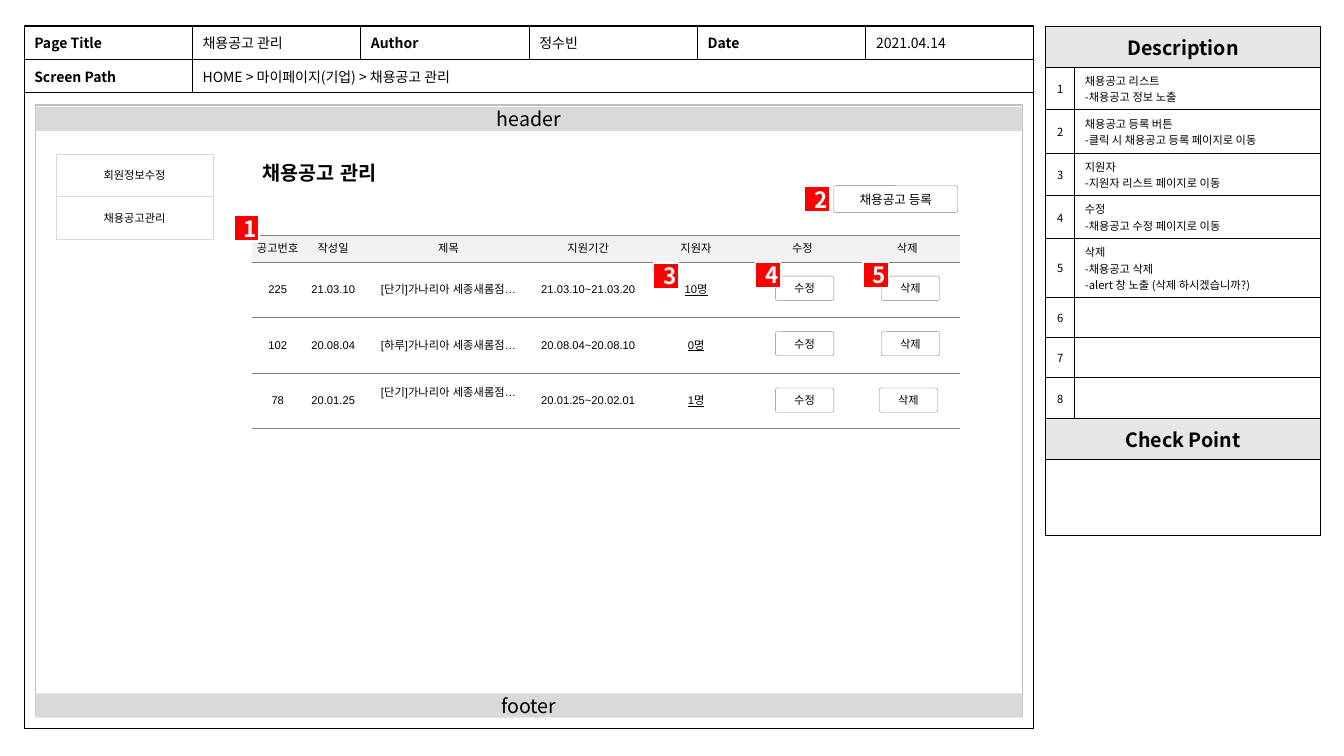
from lxml.etree import SubElement
from pptx import Presentation
from pptx.dml.color import RGBColor
from pptx.enum.shapes import MSO_SHAPE as SHAPE
from pptx.enum.text import MSO_ANCHOR as ANCHOR, MSO_AUTO_SIZE as AUTO, PP_ALIGN as ALIGN
from pptx.oxml import parse_xml
from pptx.oxml.ns import nsdecls, qn
from pptx.util import Pt

PX = 9144
THEME = {
    "noto": "Noto Sans CJK KR", "arial": "Arial",
    "black": "000000", "white": "FFFFFF", "red": "FF0000", "gray": "808080",
    "page_line": "BFBFBF", "bar": "D9D9D9", "heading": "E7E6E6", "columns": "F2F2F2",
    "small": 8, "button": 9, "meta": 10, "title": 14, "badge": 16,
}


def write(tf, text, size, font="noto", color="black", bold=False, underline=False, align=ALIGN.CENTER):
    tf.text = text
    for p in tf.paragraphs:
        p.alignment = align
        f = p.font
        f.name, f.size, f.bold, f.underline = THEME[font], Pt(THEME[size]), bold, underline
        f.color.rgb = RGBColor.from_string(THEME[color])
        ea = SubElement(p._p.pPr.find(qn("a:defRPr")), qn("a:ea"))
        ea.set("typeface", THEME[font])


def box(shapes, x, y, w, h, fill=None, line=None, weight=1, kind=SHAPE.RECTANGLE):
    sp = shapes.add_shape(kind, x * PX, y * PX, w * PX, h * PX)
    sp.shadow.inherit = False
    if kind == SHAPE.ROUNDED_RECTANGLE:
        sp.adjustments[0] = 0.09
    if fill:
        sp.fill.solid()
        sp.fill.fore_color.rgb = RGBColor.from_string(THEME[fill])
    else:
        sp.fill.background()
    if line:
        sp.line.color.rgb = RGBColor.from_string(THEME[line])
        sp.line.width = Pt(weight)
    else:
        sp.line.fill.background()
    sp.text_frame.vertical_anchor = ANCHOR.MIDDLE
    return sp


prs = Presentation()
prs.slide_width, prs.slide_height = 1333 * PX, 750 * PX
slide = prs.slides.add_slide(prs.slide_layouts[5])
shapes = slide.shapes

box(shapes, 24, 26, 1001, 697, line="black")
box(shapes, 35, 104, 979, 606, "white", "page_line")
for name, y in (("header", 106), ("footer", 688)):
    write(box(shapes, 35, y, 979, 24, "bar").text_frame, name, "title")

title = shapes.title
title.left, title.top, title.width, title.height = 250 * PX, 155 * PX, 163 * PX, 37 * PX
tf = title.text_frame
tf.word_wrap, tf.auto_size, tf.vertical_anchor = False, AUTO.SHAPE_TO_FIT_TEXT, ANCHOR.TOP
write(tf, "채용공고 관리", "title", "arial", bold=True, align=ALIGN.LEFT)
shapes.element.append(title.element)

notes = [
    "채용공고 리스트\n-채용공고 정보 노출",
    "채용공고 등록 버튼\n-클릭 시 채용공고 등록 페이지로 이동",
    "지원자\n-지원자 리스트 페이지로 이동",
    "수정\n-채용공고 수정 페이지로 이동",
    "삭제\n-채용공고 삭제\n-alert 창 노출 (삭제 하시겠습니까?)",
    "", "", "",
]
description = [["Description", ""]]
description += [[str(n), note] for n, note in enumerate(notes, 1)]
description += [["Check Point", ""], ["", ""]]
description_rows = [41] + [42, 43] * 2 + [58] + [40] * 3 + [41, 75]
meta = [
    ["Page Title", "채용공고 관리", "Author", "정수빈", "Date", "2021.04.14"],
    ["Screen Path", "HOME > 마이페이지(기업) > 채용공고 관리", "", "", "", ""],
]
jobs = [
    ["공고번호", "작성일", "제목", "지원기간", "지원자", "수정", "삭제"],
    ["225", "21.03.10", "[단기]가나리아 세종새롬점…", "21.03.10~21.03.20", "10명", "", ""],
    ["102", "20.08.04", "[하루]가나리아 세종새롬점…", "20.08.04~20.08.10", "0명", "", ""],
    ["78", "20.01.25", "[단기]가나리아 세종새롬점…", "20.01.25~20.02.01", "1명", "", ""],
]
tables = [
    ("description", 1037, 26, [29, 244], description_rows, description),
    ("meta", 24, 26, [167] * 5 + [166], [33] * 2, meta),
    ("jobs", 250, 233, [51, 59, 170, 107, 107, 104, 104], [27] + [55] * 3, jobs),
]
merges = {"description": [(0, 0, 1), (9, 0, 1), (10, 0, 1)], "meta": [(1, 1, 5)], "jobs": []}

for name, x, y, cols, rows, values in tables:
    frame = shapes.add_table(len(rows), len(cols), x * PX, y * PX, sum(cols) * PX, sum(rows) * PX)
    table = frame.table
    table.first_row = table.horz_banding = False
    for c, w in enumerate(cols):
        table.columns[c].width = w * PX
    for r, h in enumerate(rows):
        table.rows[r].height = h * PX
    for r, c1, c2 in merges[name]:
        table.cell(r, c1).merge(table.cell(r, c2))
    for r, row in enumerate(values):
        for c, text in enumerate(row):
            cell = table.cell(r, c)
            cell.vertical_anchor = ANCHOR.MIDDLE
            fill, size, font, bold, align = None, "small", "noto", False, ALIGN.CENTER
            color, weight, sides = "black", 0.75, "LRTB"
            if name == "description":
                if r in (0, 9):
                    fill, size, bold = "heading", "title", True
                elif c == 1:
                    align = ALIGN.LEFT
            elif name == "meta":
                fill, size, bold, align = "white", "meta", c % 2 == 0, ALIGN.LEFT
            else:
                fill, font = (None if r else "columns"), "arial"
                color, weight, sides = "gray", 0.25, "TB"
                cell.margin_left = cell.margin_right = cell.margin_top = 0
                cell.margin_bottom = 16 * PX if (r, c) == (3, 2) else 0
            write(cell.text_frame, text, size, font, bold=bold, align=align,
                  underline=name == "jobs" and r > 0 and c == 4)
            if fill:
                cell.fill.solid()
                cell.fill.fore_color.rgb = RGBColor.from_string(THEME[fill])
            else:
                cell.fill.background()
            for i, side in enumerate("LRTB"):
                paint = "<a:noFill/>"
                if side in sides:
                    paint = f'<a:solidFill><a:srgbClr val="{THEME[color]}"/></a:solidFill>'
                ln = parse_xml(f'<a:ln{side} {nsdecls("a")} w="{int(Pt(weight))}">{paint}</a:ln{side}>')
                cell._tc.get_or_add_tcPr().insert(i, ln)

buttons = [(769, y, "수정") for y in (274, 329, 385)]
buttons += [(874, 274, "삭제"), (874, 329, "삭제"), (872, 385, "삭제")]
for x, y, label in buttons:
    sp = box(shapes, x, y, 58, 24, None, "gray", 0.25, SHAPE.ROUNDED_RECTANGLE)
    tf = sp.text_frame
    tf.margin_left = tf.margin_right = tf.margin_top = tf.margin_bottom = 0
    write(tf, label, "small", "arial")

register = box(shapes, 827, 184, 123, 27, None, "gray", 0.25, SHAPE.ROUNDED_RECTANGLE)
write(register.text_frame, "채용공고 등록", "button")

badges = [(232, 214), (798, 185), (648, 261), (749, 260), (856, 260)]
for n, (x, y) in enumerate(badges, 1):
    sp = box(shapes, x, y, 25, 25, "red", "white")
    write(sp.text_frame, str(n), "badge", color="white", bold=True)

menu = shapes.add_group_shape()
for i, label in enumerate(("회원정보수정", "채용공고관리")):
    sp = box(menu.shapes, 56, 153 + 42 * i, 155, 42, "white", "bar", 0.25)
    write(sp.text_frame, label, "small")

prs.save("out.pptx")
